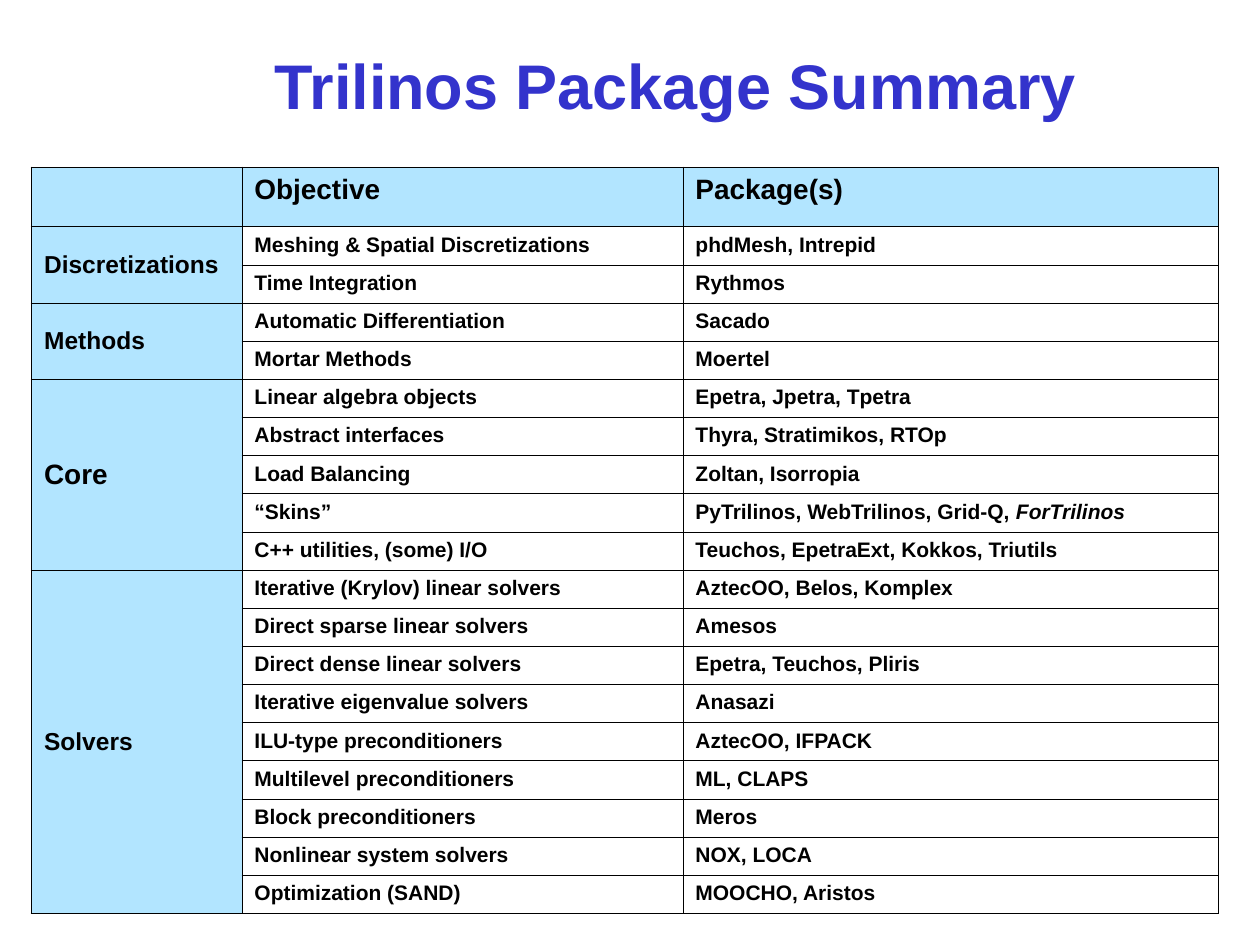
from lxml import etree
from pptx import Presentation
from pptx.dml.color import RGBColor
from pptx.enum.text import MSO_ANCHOR, PP_ALIGN
from pptx.oxml.ns import qn
from pptx.util import Inches, Pt

MIDDLE, TOP = MSO_ANCHOR.MIDDLE, MSO_ANCHOR.TOP
LEFT = PP_ALIGN.LEFT
FONT = "Arial"
COLORS = {"title": "3333CC", "text": "000000", "border": "000000", "label": "66CCFF"}
LABEL_OPACITY = 50
OUTER_LINE, INNER_LINE = 1.08, 0.45
HEADER_SIZE, BODY_SIZE = 16, 12
HEADER_HEIGHT = 0.47
COLUMN_WIDTHS = (1.67, 3.5, 4.25)
TITLE_BOX = (2.08, 0.17, 6.67, 1)
TABLE_BOX = (0.25, 1.33, 9.42, 5.92)

HEADERS = ("", "Objective", "Package(s)")
GROUPS = [
    ("Discretizations", 14, [
        ("Meshing & Spatial Discretizations", "phdMesh, Intrepid"),
        ("Time Integration", "Rythmos"),
    ]),
    ("Methods", 14, [
        ("Automatic Differentiation", "Sacado"),
        ("Mortar Methods", "Moertel"),
    ]),
    ("Core", 16, [
        ("Linear algebra objects", "Epetra, Jpetra, Tpetra"),
        ("Abstract interfaces", "Thyra, Stratimikos, RTOp"),
        ("Load Balancing", "Zoltan, Isorropia"),
        ("“Skins”", "PyTrilinos, WebTrilinos, Grid-Q, ", "ForTrilinos"),
        ("C++ utilities, (some) I/O", "Teuchos, EpetraExt, Kokkos, Triutils"),
    ]),
    ("Solvers", 14, [
        ("Iterative (Krylov) linear solvers", "AztecOO, Belos, Komplex"),
        ("Direct sparse linear solvers", "Amesos"),
        ("Direct dense linear solvers", "Epetra, Teuchos, Pliris"),
        ("Iterative eigenvalue solvers", "Anasazi"),
        ("ILU-type preconditioners", "AztecOO, IFPACK"),
        ("Multilevel preconditioners", "ML, CLAPS"),
        ("Block preconditioners", "Meros"),
        ("Nonlinear system solvers", "NOX, LOCA"),
        ("Optimization (SAND)", "MOOCHO, Aristos"),
    ]),
]


def format_paragraph(paragraph, size, color):
    """Apply the slide's bold, left-aligned text style."""
    paragraph.alignment = LEFT
    font = paragraph.font
    font.name, font.size, font.bold = FONT, Pt(size), True
    font.color.rgb = RGBColor.from_string(COLORS[color])


def write_cell(cell, text, size, anchor=TOP, italic_text=""):
    """Write a cell's text, with an optional italic ending."""
    paragraph = cell.text_frame.paragraphs[0]
    format_paragraph(paragraph, size, "text")
    paragraph.space_before = Pt(size / 4)
    cell.vertical_anchor = anchor
    if text:
        paragraph.add_run().text = text
    if italic_text:
        run = paragraph.add_run()
        run.text = italic_text
        run.font.italic = True


def fill_cell(cell, is_label):
    """Tint a label cell and leave any other cell clear."""
    if not is_label:
        cell.fill.background()
        return
    cell.fill.solid()
    cell.fill.fore_color.rgb = RGBColor.from_string(COLORS["label"])
    color = next(cell._tc.tcPr.iter(qn("a:srgbClr")))
    etree.SubElement(color, qn("a:alpha"), val=str(LABEL_OPACITY * 1000))


def draw_borders(cell, outer_sides):
    """Draw all four cell borders, heavier on the table's outer sides."""
    properties = cell._tc.get_or_add_tcPr()
    for index, side in enumerate("LRTB"):
        width = OUTER_LINE if side in outer_sides else INNER_LINE
        line = etree.Element(qn(f"a:ln{side}"), w=str(int(Pt(width))))
        fill = etree.SubElement(line, qn("a:solidFill"))
        etree.SubElement(fill, qn("a:srgbClr"), val=COLORS["border"])
        properties.insert(index, line)


def style_cells(table):
    """Give every cell its fill and borders according to its position."""
    last_row, last_column = len(table.rows) - 1, len(table.columns) - 1
    for row in range(last_row + 1):
        for column in range(last_column + 1):
            cell = table.cell(row, column)
            fill_cell(cell, row == 0 or column == 0)
            edges = {"L": column == 0, "R": column == last_column,
                     "T": row == 0, "B": row == last_row}
            draw_borders(cell, [side for side, outer in edges.items() if outer])


def add_title(slide, box):
    """Place the slide title in the given box."""
    title = slide.shapes.title
    title.left, title.top, title.width, title.height = map(Inches, box)
    title.text_frame.text = "Trilinos Package Summary"
    title.text_frame.vertical_anchor = MIDDLE
    format_paragraph(title.text_frame.paragraphs[0], 36, "title")


def add_package_table(slide, box):
    """Place the table of packages, grouped by area, in the given box."""
    body_rows = sum(len(entries) for _, _, entries in GROUPS)
    table = slide.shapes.add_table(body_rows + 1, len(HEADERS), *map(Inches, box)).table
    table.first_row = table.horz_banding = False
    for column, width in zip(table.columns, COLUMN_WIDTHS):
        column.width = Inches(width)
    for row in table.rows:
        row.height = Inches((box[3] - HEADER_HEIGHT) / body_rows)
    table.rows[0].height = Inches(HEADER_HEIGHT)
    style_cells(table)
    for column, header in enumerate(HEADERS):
        write_cell(table.cell(0, column), header, HEADER_SIZE)
    first = 1
    for label, size, entries in GROUPS:
        label_cell = table.cell(first, 0)
        label_cell.merge(table.cell(first + len(entries) - 1, 0))
        write_cell(label_cell, label, size, MIDDLE)
        for row, (objective, packages, *planned) in enumerate(entries, first):
            write_cell(table.cell(row, 1), objective, BODY_SIZE)
            write_cell(table.cell(row, 2), packages, BODY_SIZE, italic_text="".join(planned))
        first += len(entries)


def main():
    """Build the package summary slide."""
    presentation = Presentation()
    presentation.slide_width, presentation.slide_height = Inches(10), Inches(7.5)
    slide = presentation.slides.add_slide(presentation.slide_layouts.get_by_name("Title Only"))
    add_title(slide, TITLE_BOX)
    add_package_table(slide, TABLE_BOX)
    presentation.save("out.pptx")


if __name__ == "__main__":
    main()
